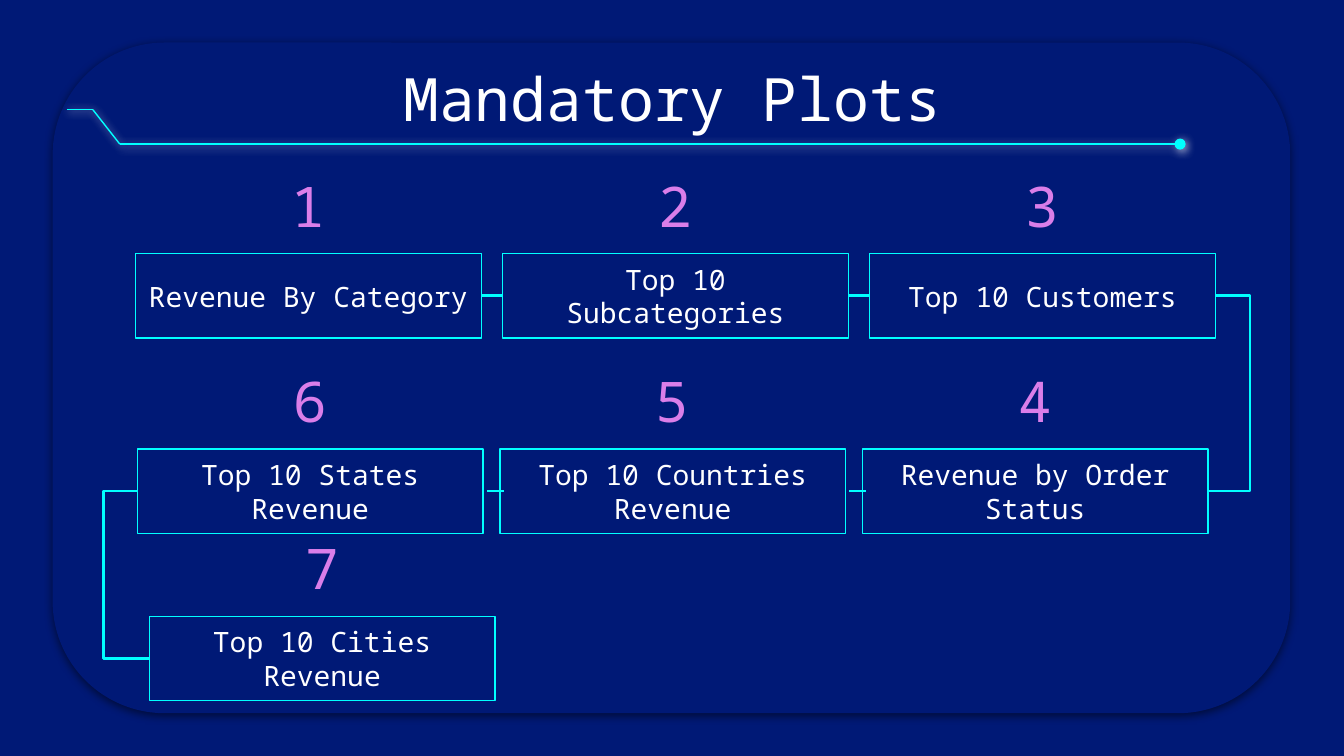
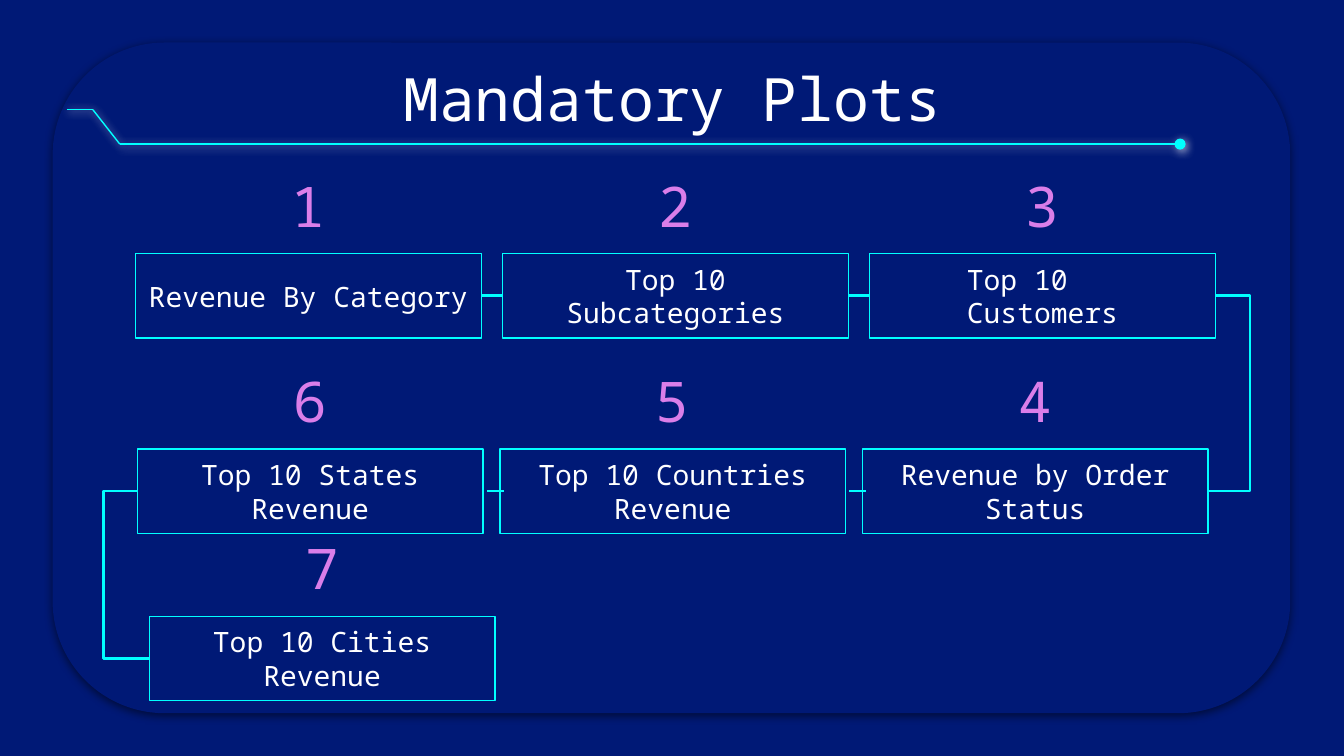
from collections import namedtuple
from dataclasses import dataclass
from itertools import pairwise

from lxml.etree import SubElement
from pptx import Presentation
from pptx.dml.color import RGBColor
from pptx.enum.shapes import MSO_CONNECTOR as Link, MSO_SHAPE as Preset
from pptx.enum.text import MSO_ANCHOR as Anchor, PP_ALIGN as Align
from pptx.oxml.ns import qn
from pptx.util import Pt

Box = namedtuple("Box", "left top width height")
Row = namedtuple("Row", "left top pitch plots")
Shadow = namedtuple("Shadow", "colour alpha blur distance angle")


@dataclass(frozen=True)
class Theme:
    navy: str = "001976"
    cyan: str = "00FFFF"
    pink: str = "DA7EE9"
    white: str = "FFFFFF"
    font: str = "Noto Sans Mono"
    title_size: float = 32
    number_size: float = 30
    label_size: float = 15
    inset: float = 7.2
    thin: float = 0.75
    thick: float = 1.5
    panel_shadow: Shadow = Shadow("000000", 50, 4.5, 1.5, 90)
    glow: Shadow = Shadow("FFFFFF", 75, 4.5, 0.8, 63)


THEME = Theme()
PANEL = Box(28.2, 22.8, 663, 359.3)
TITLE = Box(56.7, 26, 607, 45.3)
RULE = Box(35.8, 58.8, 596.4, 18.4)
PLAN = Box(55.4, 83.5, 614.2, 292)
CARD_WIDTH, CARD_HEIGHT, NUMBER_SIDE = 185.2, 45.2, 52.4
STUB_SHIFT = 2

ROWS = [
    Row(17.2, 52.4, 196.65, [(1, "Revenue By Category"), (2, "Top 10 Subcategories"),
                             (3, "Top 10 Customers")]),
    Row(18.2, 157, 194.2, [(6, "Top 10 States Revenue"), (5, "Top 10 Countries Revenue"),
                           (4, "Revenue by Order Status")]),
    Row(24.6, 246.7, 0, [(7, "Top 10 Cities Revenue")]),
]


def rgb(colour):
    return RGBColor.from_string(colour)


def apply(target, values):
    for name, value in values.items():
        setattr(target, name, value)


def lengths(*values):
    return [Pt(value) for value in values]


def cast_shadow(effects, shadow):
    outer = SubElement(effects, qn("a:outerShdw"), {
        "blurRad": str(Pt(shadow.blur)), "dist": str(Pt(shadow.distance)),
        "dir": str(shadow.angle * 60000), "algn": "bl", "rotWithShape": "0"})
    tint = SubElement(outer, qn("a:srgbClr"), val=shadow.colour)
    SubElement(tint, qn("a:alpha"), val=str(shadow.alpha * 1000))


def write(holder, text, size, colour, anchor, indent=0):
    frame = holder.text_frame
    margins = {f"margin_{side}": Pt(THEME.inset) for side in ("left", "top", "right", "bottom")}
    apply(frame, {"word_wrap": True, "vertical_anchor": anchor, **margins})
    paragraph = frame.paragraphs[0]
    paragraph.alignment = Align.LEFT if indent else Align.CENTER
    if indent:
        paragraph._p.get_or_add_pPr().set("marL", str(Pt(indent)))
    run = paragraph.add_run()
    run.text = text
    apply(run.font, {"name": THEME.font, "size": Pt(size)})
    run.font.color.rgb = rgb(colour)


def paint(fill, colour):
    if colour:
        fill.solid()
        fill.fore_color.rgb = rgb(colour)
    else:
        fill.background()


def rounded_box(slide, box, corner=0, fill=None, outline=None):
    shape = slide.shapes.add_shape(Preset.ROUNDED_RECTANGLE, *lengths(*box))
    shape.adjustments[0] = corner
    shape.shadow.inherit = False
    paint(shape.fill, fill)
    paint(shape.line.fill, outline)
    if outline:
        shape.line.width = Pt(THEME.thin)
    return shape


def cyan_line(shapes, kind, start, end, width, shadow=None, dot=False):
    line = shapes.add_connector(kind, *lengths(*start, *end))
    line.line.color.rgb = rgb(THEME.cyan)
    line.line.width = Pt(width)
    if dot:
        SubElement(line.line._get_or_add_ln(), qn("a:tailEnd"), type="oval")
    effects = SubElement(line._element.spPr, qn("a:effectLst"))
    if shadow:
        cast_shadow(effects, shadow)
    return line


def panel(slide, box):
    shape = rounded_box(slide, box, corner=0.167, fill=THEME.navy)
    cast_shadow(shape._element.spPr.find(qn("a:effectLst")), THEME.panel_shadow)


def title(slide, box, text):
    holder = slide.shapes.add_textbox(*lengths(*box))
    write(holder, text, THEME.title_size, THEME.white, Anchor.TOP)


def title_rule(slide, box):
    bottom = box.top + box.height
    points = [(box.left, box.top), (box.left + 14, box.top),
              (box.left + 28.4, bottom), (box.left + box.width, bottom)]
    group = slide.shapes.add_group_shape()
    for start, end in pairwise(points):
        cyan_line(group.shapes, Link.STRAIGHT, start, end, THEME.thin,
                  THEME.glow, dot=end == points[-1])


def plot_card(slide, box, number, label, indent):
    card = rounded_box(slide, box, outline=THEME.cyan)
    write(card, label, THEME.label_size, THEME.white, Anchor.MIDDLE, indent)
    badge = rounded_box(slide, Box(box.left + (box.width - NUMBER_SIDE) / 2,
                                   box.top - NUMBER_SIDE, NUMBER_SIDE, NUMBER_SIDE))
    write(badge, str(number), THEME.number_size, THEME.pink, Anchor.MIDDLE)
    return card


def side_turn(slide, start, end, turn_x):
    elbow = cyan_line(slide.shapes, Link.ELBOW, start, end, THEME.thick)
    guides = elbow._element.spPr.find(qn("a:prstGeom")).get_or_add_avLst()
    bend = round((turn_x - start[0]) / (end[0] - start[0]) * 100000)
    SubElement(guides, qn("a:gd"), name="adj1", fmla=f"val {bend}")


def plan(slide, box, indents):
    cards, boxes = {}, {}
    for row in ROWS:
        for column, (number, label) in enumerate(row.plots):
            boxes[number] = Box(box.left + row.left + column * row.pitch,
                                box.top + row.top, CARD_WIDTH, CARD_HEIGHT)
            cards[number] = plot_card(slide, boxes[number], number, label,
                                      indents.get(number, 0))

    def side(number, right):
        spot = boxes[number]
        return spot.left + right * spot.width, spot.top + spot.height / 2

    for before, after in [(1, 2), (2, 3)]:
        link = cyan_line(slide.shapes, Link.STRAIGHT, side(before, True),
                         side(after, False), THEME.thick)
        link.begin_connect(cards[before], 3)
        link.end_connect(cards[after], 1)
    for before, after in [(6, 5), (5, 4)]:
        (start_x, y), (end_x, _) = side(before, True), side(after, False)
        cyan_line(slide.shapes, Link.STRAIGHT, (start_x + STUB_SHIFT, y),
                  (end_x + STUB_SHIFT, y), THEME.thick)
    side_turn(slide, side(3, True), side(4, True), box.left + box.width)
    side_turn(slide, side(6, False), side(7, False), box.left)


def plots_slide(deck, indents):
    slide = deck.slides.add_slide(deck.slide_layouts[6])
    paint(slide.background.fill, THEME.navy)
    panel(slide, PANEL)
    title(slide, TITLE, "Mandatory Plots")
    title_rule(slide, RULE)
    plan(slide, PLAN, indents)


def main():
    deck = Presentation()
    apply(deck, {"slide_width": Pt(720), "slide_height": Pt(405)})
    for indents in ({}, {3: 45}):
        plots_slide(deck, indents)
    deck.save("out.pptx")


if __name__ == "__main__":
    main()
